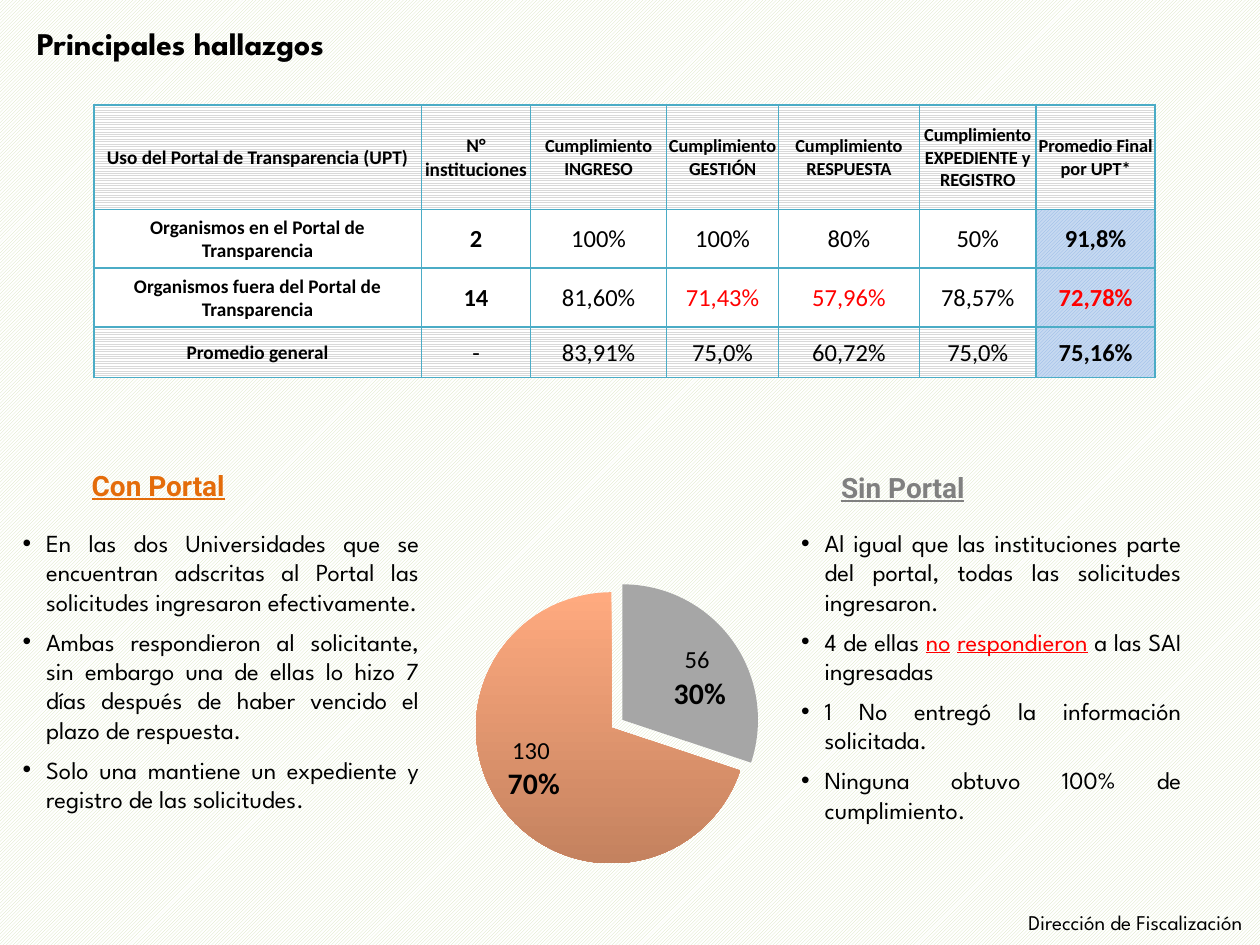
from lxml import etree
from pptx import Presentation
from pptx.chart.data import CategoryChartData
from pptx.dml.color import RGBColor
from pptx.enum.chart import XL_CHART_TYPE, XL_LABEL_POSITION
from pptx.enum.dml import MSO_PATTERN
from pptx.enum.text import MSO_ANCHOR, PP_ALIGN
from pptx.oxml import parse_xml
from pptx.oxml.ns import nsdecls, qn
from pptx.util import Pt

PIE = XL_CHART_TYPE.PIE
INSIDE_END = XL_LABEL_POSITION.INSIDE_END
DIAGONAL = MSO_PATTERN.LIGHT_UPWARD_DIAGONAL
HORIZONTAL = MSO_PATTERN.NARROW_HORIZONTAL
TOP, MIDDLE = MSO_ANCHOR.TOP, MSO_ANCHOR.MIDDLE
LEFT, CENTER, RIGHT, JUSTIFY = PP_ALIGN.LEFT, PP_ALIGN.CENTER, PP_ALIGN.RIGHT, PP_ALIGN.JUSTIFY

BLACK, WHITE, RED, BORDER = "000000", "FFFFFF", "FF0000", "4BACC6"
BODY_FONT, HEADING_FONT, TABLE_FONT = "League Spartan", "Roboto", "Calibri"

HEADINGS = [
    ("Principales hallazgos", (14, 10.1, 601, 28.8), BODY_FONT, 18, BLACK, True, False, LEFT, TOP),
    ("Con Portal", (31, 268.6, 118.8, 17.3), HEADING_FONT, 16, "E46C0A", True, True, CENTER, MIDDLE),
    ("Sin Portal", (456.5, 264.2, 118.8, 28.1), HEADING_FONT, 16, "808080", True, True, CENTER, MIDDLE),
    ("Dirección de Fiscalización", (468, 519.1, 249.1, 15.1), BODY_FONT, 12, BLACK, False, False, RIGHT, MIDDLE),
]

TABLE_AT = (53.6, 60.1)
COLUMN_WIDTHS = [187.2, 62.4, 77.8, 63.9, 80.5, 66.8, 68]
ROW_HEIGHTS = [59.5, 33.7, 33.7, 28.7]
ROWS = [
    ["Uso del Portal de Transparencia (UPT)", "N° instituciones", "Cumplimiento INGRESO",
     "Cumplimiento GESTIÓN", "Cumplimiento RESPUESTA", "Cumplimiento EXPEDIENTE y REGISTRO",
     "Promedio Final por UPT*"],
    ["Organismos en el Portal de Transparencia", "2", "100%", "100%", "80%", "50%", "91,8%"],
    ["Organismos fuera del Portal de Transparencia", "14", "81,60%", "71,43%", "57,96%", "78,57%", "72,78%"],
    ["Promedio general", "-", "83,91%", "75,0%", "60,72%", "75,0%", "75,16%"],
]
RED_VALUES = {"71,43%", "57,96%", "72,78%"}

FINDINGS = [
    ((5.8, 298.1, 241, 223.2), [
        [("En las dos Universidades que se encuentran adscritas al Portal las solicitudes "
          "ingresaron efectivamente.", False)],
        [("Ambas respondieron al solicitante, sin embargo una de ellas lo hizo 7 días después "
          "de haber vencido el plazo de respuesta.", False)],
        [("Solo una mantiene un expediente y registro de las solicitudes.", False)],
    ]),
    ((450.7, 298.1, 231.6, 184.3), [
        [("Al igual que las instituciones parte del portal, todas las solicitudes ingresaron.", False)],
        [("4 de ellas ", False), ("no", True), (" ", False), ("respondieron", True),
         (" a las SAI ingresadas", False)],
        [("1 No entregó la información solicitada.", False)],
        [("Ninguna obtuvo 100% de cumplimiento.", False)],
    ]),
]

CHART_AT = (257, 322.6, 193.7, 178.6)
PLOT = {"x": 0.1, "y": 0.01, "w": 0.8, "h": 0.99}
SLICES = [
    ("Sin Portal", 56, "30%", ["A6A6A6"], 3),
    ("Con Portal", 130, "70%", ["FFAA7F", "C4825F"], 7),
]


def color(hex_value):
    return RGBColor.from_string(hex_value)


def style(font, name, size, hex_value, bold=False, underline=False):
    font.name, font.size, font.bold = name, Pt(size), bold
    font.color.rgb = color(hex_value)
    if underline:
        font.underline = True


def pattern(fill, kind, front, back):
    fill.patterned()
    fill.pattern = kind
    fill.fore_color.rgb = color(front)
    fill.back_color.rgb = color(back)


def add_text_frame(slide, place, anchor):
    frame = slide.shapes.add_textbox(*map(Pt, place)).text_frame
    frame.word_wrap = True
    frame.vertical_anchor = anchor
    return frame


def add_heading(slide, text, place, name, size, hex_value, bold, underline, align, anchor):
    heading = add_text_frame(slide, place, anchor).paragraphs[0]
    heading.text, heading.alignment = text, align
    style(heading.font, name, size, hex_value, bold, underline)


def add_findings(slide, place, findings):
    frame = add_text_frame(slide, place, TOP)
    for number, parts in enumerate(findings):
        finding = frame.add_paragraph() if number else frame.paragraphs[0]
        finding.alignment, finding.space_after = JUSTIFY, Pt(6)
        style(finding.font, BODY_FONT, 14, BLACK)
        properties = finding._p.get_or_add_pPr()
        properties.set("marL", str(Pt(13.5)))
        properties.set("indent", str(-Pt(13.5)))
        for tag in ('buFont {} typeface="Arial"', 'buChar {} char="•"'):
            bullet = parse_xml(f'<a:{tag.format(nsdecls("a"))}/>')
            properties.find(qn("a:defRPr")).addprevious(bullet)
        for text, highlighted in parts:
            run = finding.add_run()
            run.text = text
            if highlighted:
                run.font.color.rgb = color(RED)
                run.font.underline = True


def add_borders(cell):
    properties = cell._tc.get_or_add_tcPr()
    for index, side in enumerate(("lnL", "lnR", "lnT", "lnB")):
        properties.insert(index, parse_xml(
            f'<a:{side} {nsdecls("a")} w="{Pt(1)}"><a:solidFill>'
            f'<a:srgbClr val="{BORDER}"/></a:solidFill></a:{side}>'))


def fill_cell(cell, text, row, column):
    last_column = len(COLUMN_WIDTHS) - 1
    cell.margin_left = cell.margin_right = cell.margin_top = Pt(0.7)
    cell.margin_bottom = Pt(0)
    cell.vertical_anchor = MIDDLE
    value = cell.text_frame.paragraphs[0]
    value.text, value.alignment = text, CENTER
    if row == 0:
        size = 11 if column < 2 else 10.5
    else:
        size = 14 if column else 11
    bold = row == 0 or column in (0, last_column) or (column == 1 and row < 3)
    style(value.font, TABLE_FONT, size, RED if text in RED_VALUES else BLACK, bold)
    if row and column == last_column:
        pattern(cell.fill, DIAGONAL, "8EB4E3", "C6D9F1")
    elif row in (0, len(ROWS) - 1):
        pattern(cell.fill, HORIZONTAL, "D9D9D9", WHITE)
    else:
        cell.fill.solid()
        cell.fill.fore_color.rgb = color(WHITE)
    add_borders(cell)


def add_compliance_table(slide):
    size = (sum(COLUMN_WIDTHS), sum(ROW_HEIGHTS))
    table = slide.shapes.add_table(len(ROWS), len(COLUMN_WIDTHS), *map(Pt, TABLE_AT + size)).table
    for column, width in zip(table.columns, COLUMN_WIDTHS):
        column.width = Pt(width)
    for row, height in zip(table.rows, ROW_HEIGHTS):
        row.height = Pt(height)
    for row, texts in enumerate(ROWS):
        for column, text in enumerate(texts):
            fill_cell(table.cell(row, column), text, row, column)


def place_plot(chart):
    area = chart._chartSpace.chart.plotArea
    for layout in area.findall(qn("c:layout")):
        area.remove(layout)
    sizes = "".join(f'<c:{key} val="{value}"/>' for key, value in PLOT.items())
    area.insert(0, parse_xml(
        f'<c:layout {nsdecls("c")}><c:manualLayout><c:layoutTarget val="inner"/>'
        f'<c:xMode val="edge"/><c:yMode val="edge"/>{sizes}</c:manualLayout></c:layout>'))


def add_portal_chart(slide):
    data = CategoryChartData()
    data.categories = [entry[0] for entry in SLICES]
    data.add_series("Series 1", [entry[1] for entry in SLICES])
    chart = slide.shapes.add_chart(PIE, *map(Pt, CHART_AT), data).chart
    chart.has_legend = chart.has_title = False
    style(chart.font, TABLE_FONT, 18, BLACK)
    place_plot(chart)
    plot = chart.plots[0]
    plot.vary_by_categories = True
    series = plot.series[0]
    labels = series.data_labels
    labels.show_value = labels.show_percentage = labels.show_category_name = True
    style(labels.font, TABLE_FONT, 16, BLACK)
    for index, (_, count, share, shades, explosion) in enumerate(SLICES):
        point = series.points[index]
        fill = point.format.fill
        if len(shades) == 1:
            fill.solid()
            fill.fore_color.rgb = color(shades[0])
        else:
            fill.gradient()
            fill.gradient_angle = 270
            for stop, shade in zip(fill.gradient_stops, shades):
                stop.color.rgb = color(shade)
        point.format.line.fill.background()
        properties = series._element.findall(qn("c:dPt"))[index].find(qn("c:spPr"))
        offset = etree.Element(qn("c:explosion"), val=str(explosion))
        properties.addprevious(offset)
        label = point.data_label
        frame = label.text_frame
        for line, text in enumerate((f"{count} ", share)):
            paragraph = frame.add_paragraph() if line else frame.paragraphs[0]
            run = paragraph.add_run()
            run.text = text
            style(run.font, TABLE_FONT, 17 if line else 14, BLACK, bool(line))
        label.position = INSIDE_END
        flags = series._element.find(qn("c:dLbls")).findall(qn("c:dLbl"))[index]
        for flag in ("c:showCatName", "c:showPercent"):
            flags.find(qn(flag)).set("val", "1")


def main():
    deck = Presentation()
    deck.slide_width, deck.slide_height = Pt(720), Pt(540)
    slide = deck.slides.add_slide(deck.slide_layouts[6])
    pattern(slide.background.fill, DIAGONAL, "D5E1B9", WHITE)
    add_compliance_table(slide)
    for place, findings in FINDINGS:
        add_findings(slide, place, findings)
    add_portal_chart(slide)
    for heading in HEADINGS:
        add_heading(slide, *heading)
    deck.save("out.pptx")


if __name__ == "__main__":
    main()
